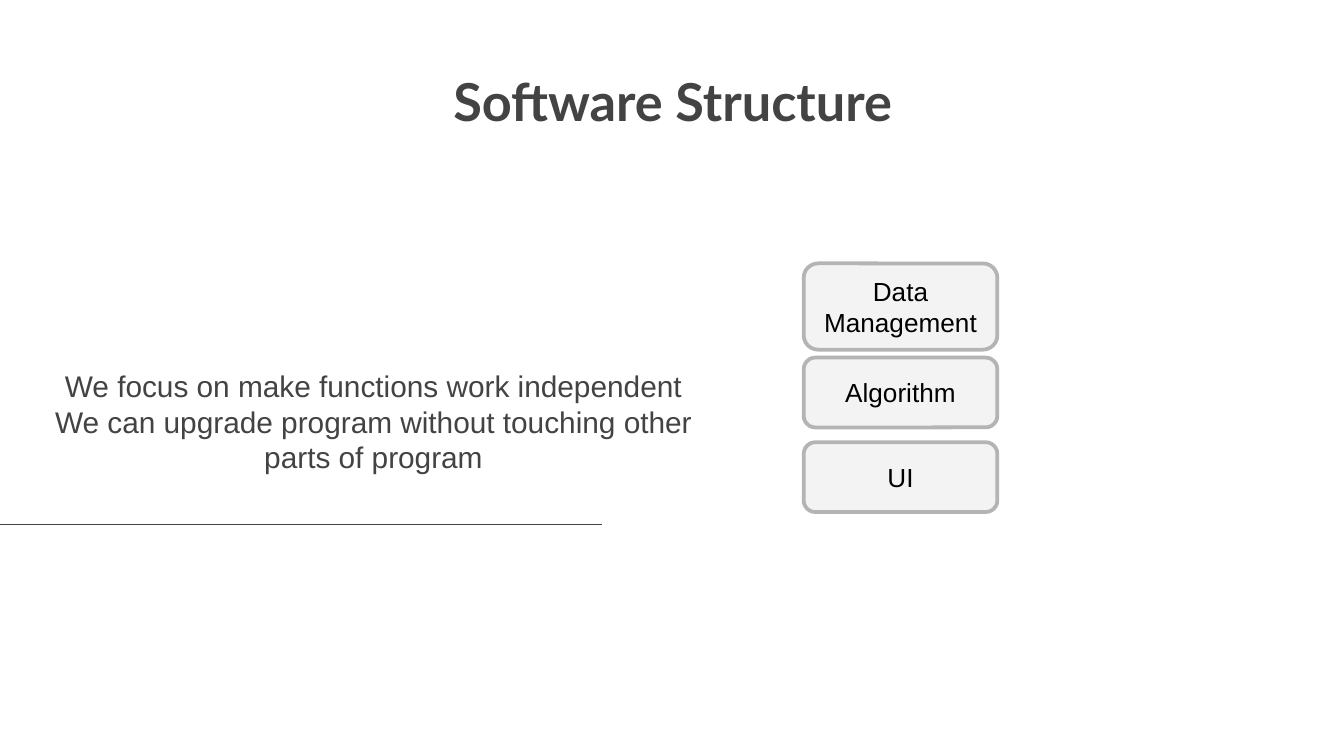
import pptx
import pptx.util
import pptx.dml.color
import pptx.enum.shapes
import pptx.enum.text
import pptx.oxml.ns
import lxml.etree

Cm = pptx.util.Cm
Pt = pptx.util.Pt
DARK = "434343"


def rgb(value):
    """Return the colour for a hex string."""
    return pptx.dml.color.RGBColor.from_string(value)


def write(tf, lines, font, size, color, bold=False, spacing=None):
    """Fill a text frame with one centred paragraph per line."""
    tf.word_wrap = True
    for i, line in enumerate(lines):
        p = tf.paragraphs[0] if i == 0 else tf.add_paragraph()
        p.alignment = pptx.enum.text.PP_ALIGN.CENTER
        p.line_spacing = spacing
        r = p.add_run()
        r.text = line
        r.font.name = font
        r.font.size = Pt(size)
        r.font.bold = bold
        r.font.color.rgb = rgb(color)


def set_insets(tf, inset):
    """Give all four sides of a text frame the same inset."""
    tf.margin_left = tf.margin_top = tf.margin_right = tf.margin_bottom = inset


def add_title(slide, left, top, width, height):
    """Place and format the title placeholder."""
    sp = slide.shapes.title
    sp.left, sp.top, sp.width, sp.height = left, top, width, height
    tf = sp.text_frame
    set_insets(tf, Cm(0.25))
    tf.auto_size = pptx.enum.text.MSO_AUTO_SIZE.NONE
    tf.vertical_anchor = pptx.enum.text.MSO_ANCHOR.BOTTOM
    write(tf, ["Software Structure"], "Lato", 28, DARK, bold=True)


def add_statement(slide, left, top, width, height):
    """Place the explanatory text and the rule below it."""
    tf = slide.shapes.add_textbox(left, top, width, height).text_frame
    set_insets(tf, Cm(0.25))
    write(tf, ["We focus on make functions work independent",
               "We can upgrade program without touching other parts of program"],
          "Arial", 16, DARK, spacing=Pt(19))
    y = top + height + Cm(0.23)
    rule = slide.shapes.add_connector(
        pptx.enum.shapes.MSO_CONNECTOR.STRAIGHT, 0, y, left + Cm(10.82), y)
    rule.line.color.rgb = rgb(DARK)
    rule.line.width = Pt(0.75)
    lxml.etree.SubElement(rule._element.spPr, pptx.oxml.ns.qn("a:effectLst"))


def add_layers(slide, left, top, width):
    """Stack the software layers downwards from the given corner."""
    layers = [("Data Management", 0, 1.63), ("Algorithm", 1.78, 1.32), ("UI", 3.38, 1.32)]
    for name, offset, height in layers:
        sp = slide.shapes.add_shape(
            pptx.enum.shapes.MSO_SHAPE.ROUNDED_RECTANGLE,
            left, top + Cm(offset), width, Cm(height))
        sp.shadow.inherit = False
        sp.fill.solid()
        sp.fill.fore_color.rgb = rgb("F3F3F3")
        sp.line.color.rgb = rgb("B4B4B4")
        sp.line.width = Pt(2)
        sp.text_frame.vertical_anchor = pptx.enum.text.MSO_ANCHOR.MIDDLE
        write(sp.text_frame, [name], "Arial", 14, "000000")


def main():
    """Build the slide and save it."""
    prs = pptx.Presentation()
    prs.slide_width, prs.slide_height = Cm(25.4), Cm(14.29)
    slide = prs.slides.add_slide(prs.slide_layouts.get_by_name("Title Only"))
    add_title(slide, Cm(7.34), Cm(1.12), Cm(10.74), Cm(1.63))
    add_statement(slide, Cm(0.56), Cm(6.71), Cm(13), Cm(2.97))
    add_layers(slide, Cm(15.19), Cm(4.98), Cm(3.66))
    prs.save("out.pptx")


if __name__ == "__main__":
    main()
